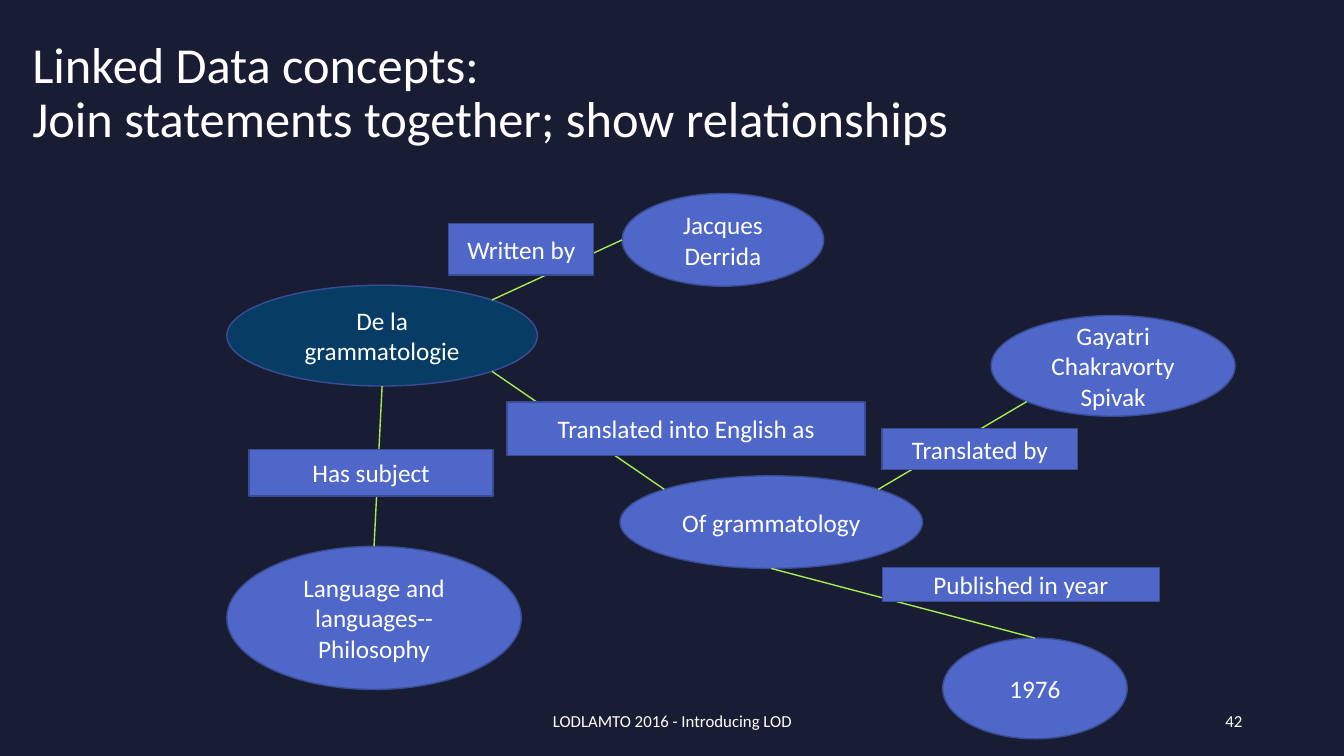
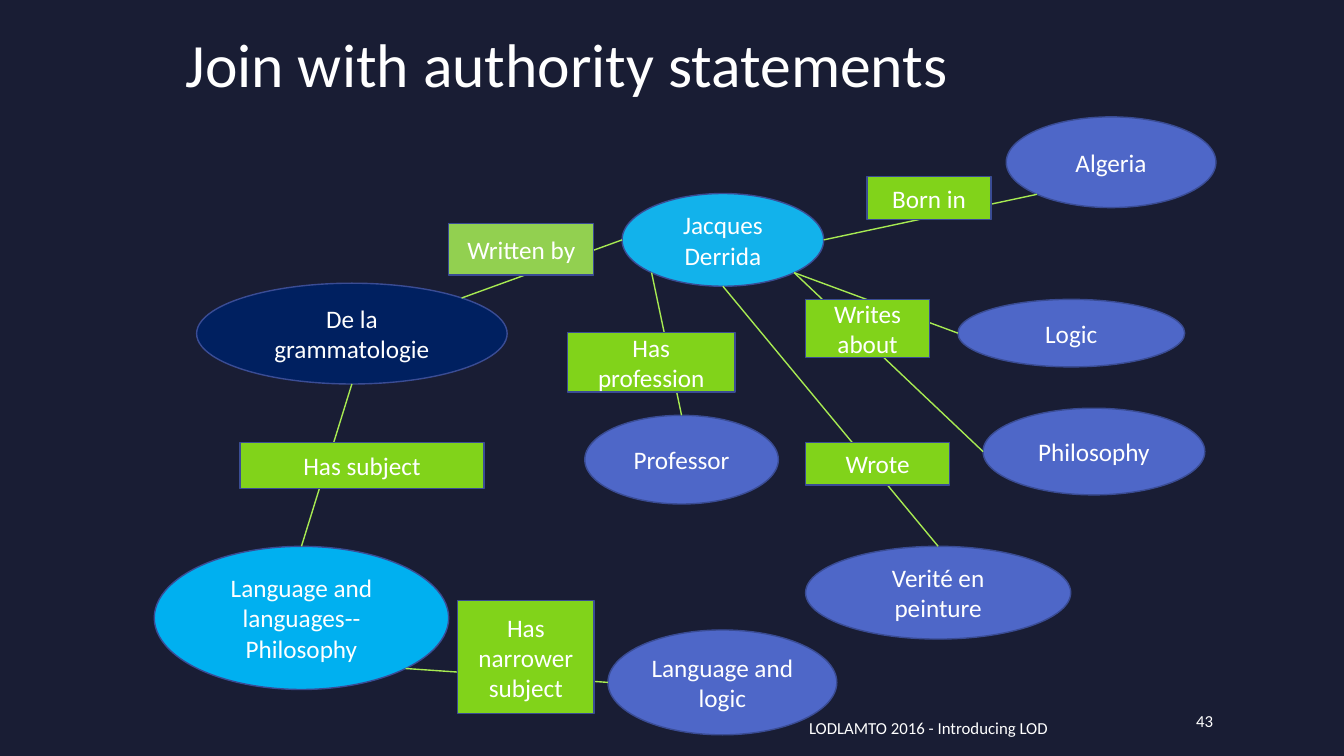
from dataclasses import dataclass
from math import sqrt

from lxml import etree
from pptx import Presentation
from pptx.dml.color import RGBColor
from pptx.enum.shapes import MSO_CONNECTOR, MSO_SHAPE
from pptx.enum.text import MSO_ANCHOR, MSO_AUTO_SIZE, PP_ALIGN
from pptx.oxml.ns import qn
from pptx.util import Pt

LEFT, CENTER, RIGHT = PP_ALIGN.LEFT, PP_ALIGN.CENTER, PP_ALIGN.RIGHT
MIDDLE, NO_AUTOFIT = MSO_ANCHOR.MIDDLE, MSO_AUTO_SIZE.NONE
ELLIPSE, RECTANGLE = MSO_SHAPE.OVAL, MSO_SHAPE.RECTANGLE
STRAIGHT = MSO_CONNECTOR.STRAIGHT

EMU_PER_PX = 9144  # 100 px to the inch
TITLE_ONLY = 5


@dataclass(frozen=True)
class Theme:
    font: str = "Calibri"
    background: str = "191D34"
    text: str = "FFFFFF"
    node: str = "4E67C8"
    outline: str = "3A4C94"
    link: str = "A7EA52"
    predicate: str = "81D31A"
    shared_predicate: str = "92D050"
    work: str = "073C65"
    linked_work: str = "002060"
    author: str = "12B2EB"
    subject: str = "00B0F0"
    title_size: int = 36
    large_title_size: int = 44
    body_size: int = 18
    footer_size: int = 12
    line_width: int = 1


THEME = Theme()
FOOTER = "LODLAMTO 2016 - Introducing LOD"

# Where links meet an ellipse, in radii from its centre
DIAGONAL = sqrt(0.5)
SITES = {
    "N": (0, -1), "S": (0, 1), "W": (-1, 0), "E": (1, 0),
    "NE": (DIAGONAL, -DIAGONAL), "SE": (DIAGONAL, DIAGONAL),
    "NW": (-DIAGONAL, -DIAGONAL), "SW": (-DIAGONAL, DIAGONAL),
}


def px(value):
    return round(value * EMU_PER_PX)


def color(value):
    return RGBColor.from_string(value)


def write_text(shape, text, size=THEME.body_size, align=CENTER, spacing=None):
    frame = shape.text_frame
    frame.word_wrap = True
    frame.auto_size = NO_AUTOFIT
    frame.vertical_anchor = MIDDLE
    paragraph = frame.paragraphs[0]
    paragraph.text = text
    paragraph.alignment = align
    paragraph.line_spacing = spacing
    for run in paragraph.runs:
        run.font.name = THEME.font
        run.font.size = Pt(size)
        run.font.color.rgb = color(THEME.text)


def add_box(slide, kind, box, text, fill):
    shape = slide.shapes.add_shape(kind, *map(px, box))
    shape.shadow.inherit = False
    shape.fill.solid()
    shape.fill.fore_color.rgb = color(fill)
    shape.line.color.rgb = color(THEME.outline)
    shape.line.width = Pt(THEME.line_width)
    write_text(shape, text)


def site_point(box, site):
    left, top, width, height = box
    across, down = SITES[site]
    return left + width / 2 * (1 + across), top + height / 2 * (1 + down)


def add_link(slide, start, end):
    connector = slide.shapes.add_connector(STRAIGHT, *map(px, start + end))
    connector.line.color.rgb = color(THEME.link)
    connector.line.width = Pt(THEME.line_width)
    etree.SubElement(connector._element.spPr, qn("a:effectLst"))


def add_diagram(slide, origin, nodes, links, labels):
    """Place ellipses, the links between them and the predicate labels."""
    def absolute(box):
        return box[0] + origin[0], box[1] + origin[1], box[2], box[3]

    boxes = {text: absolute(box) for text, box, _ in nodes}
    for text, _, fill in nodes:
        add_box(slide, ELLIPSE, boxes[text], text, fill)
    for source, source_site, target, target_site in links:
        add_link(slide, site_point(boxes[source], source_site),
                 site_point(boxes[target], target_site))
    for text, box, fill in labels:
        add_box(slide, RECTANGLE, absolute(box), text, fill)


def add_title(slide, box, text, size):
    title = slide.shapes.title
    title.left, title.top, title.width, title.height = map(px, box)
    write_text(title, text, size=size, align=LEFT, spacing=0.9)


def add_footer(slide, footer_box, number_box, number):
    for box, text, align in ((footer_box, FOOTER, CENTER),
                             (number_box, str(number), RIGHT)):
        text_box = slide.shapes.add_textbox(*map(px, box))
        write_text(text_box, text, size=THEME.footer_size, align=align)


def add_slide(presentation):
    return presentation.slides.add_slide(presentation.slide_layouts[TITLE_ONLY])


WORK, AUTHOR = "De la grammatologie", "Jacques Derrida"
SUBJECT, TRANSLATION = "Language and languages--Philosophy", "Of grammatology"
TRANSLATOR, YEAR = "Gayatri Chakravorty Spivak", "1976"
NARROWER, PAINTING = "Language and logic", "Verité en peinture"


def build_relationships(presentation):
    slide = add_slide(presentation)
    add_title(slide, (22, 21, 1150, 145),
              "Linked Data concepts:\vJoin statements together; show relationships",
              THEME.title_size)
    add_footer(slide, (442, 695, 450, 40), (942, 695, 300, 40), 42)
    nodes = [
        (WORK, (0, 91, 308, 100), THEME.work),
        (AUTHOR, (392, 0, 200, 92), THEME.node),
        (TRANSLATION, (390, 280, 300, 92), THEME.node),
        (TRANSLATOR, (758, 121, 242, 100), THEME.node),
        (YEAR, (710, 441, 183, 100), THEME.node),
        (SUBJECT, (0, 350, 292, 142), THEME.node),
    ]
    links = [
        (WORK, "NE", AUTHOR, "W"),
        (WORK, "SE", TRANSLATION, "NW"),
        (TRANSLATION, "NE", TRANSLATOR, "SW"),
        (TRANSLATION, "S", YEAR, "N"),
        (WORK, "S", SUBJECT, "N"),
    ]
    labels = [
        ("Has subject", (22, 254, 242, 46), THEME.node),
        ("Written by", (220, 30, 144, 51), THEME.node),
        ("Translated by", (650, 233, 194, 41), THEME.node),
        ("Translated into English as", (278, 207, 355, 53), THEME.node),
        ("Published in year", (650, 371, 275, 34), THEME.node),
    ]
    add_diagram(slide, (225, 192), nodes, links, labels)


def build_authorities(presentation):
    slide = add_slide(presentation)
    add_title(slide, (174, 19, 1070, 96), "Join with authority statements",
              THEME.large_title_size)
    add_footer(slide, (696, 702, 450, 40), (913, 695, 300, 40), 43)
    nodes = [
        (WORK, (42, 165, 308, 100), THEME.linked_work),
        (AUTHOR, (464, 76, 200, 92), THEME.author),
        (SUBJECT, (0, 426, 292, 142), THEME.subject),
        ("Algeria", (845, 0, 208, 90), THEME.node),
        ("Philosophy", (822, 289, 220, 86), THEME.node),
        ("Logic", (797, 181, 225, 67), THEME.node),
        ("Professor", (427, 296, 192, 88), THEME.node),
        (PAINTING, (646, 426, 263, 92), THEME.node),
        (NARROWER, (450, 509, 227, 104), THEME.node),
    ]
    links = [
        (WORK, "NE", AUTHOR, "W"),
        (WORK, "S", SUBJECT, "N"),
        (AUTHOR, "E", "Algeria", "SW"),
        (AUTHOR, "SE", "Logic", "W"),
        (AUTHOR, "SE", "Philosophy", "W"),
        (AUTHOR, "S", PAINTING, "N"),
        (AUTHOR, "SW", "Professor", "N"),
        (SUBJECT, "SE", NARROWER, "W"),
    ]
    labels = [
        ("Written by", (292, 106, 144, 51), THEME.shared_predicate),
        ("Has subject", (85, 323, 242, 46), THEME.predicate),
        ("Has profession", (410, 214, 166, 59), THEME.predicate),
        ("Born in", (707, 59, 123, 43), THEME.predicate),
        ("Writes about", (646, 181, 123, 58), THEME.predicate),
        ("Wrote", (646, 323, 143, 42), THEME.predicate),
        ("Has narrower subject", (301, 480, 135, 112), THEME.predicate),
    ]
    add_diagram(slide, (153, 116), nodes, links, labels)


def main():
    presentation = Presentation()
    presentation.slide_width, presentation.slide_height = px(1333), px(750)
    # Shared background
    background = presentation.slide_master.background.fill
    background.solid()
    background.fore_color.rgb = color(THEME.background)
    build_relationships(presentation)
    build_authorities(presentation)
    presentation.save("out.pptx")


if __name__ == "__main__":
    main()
